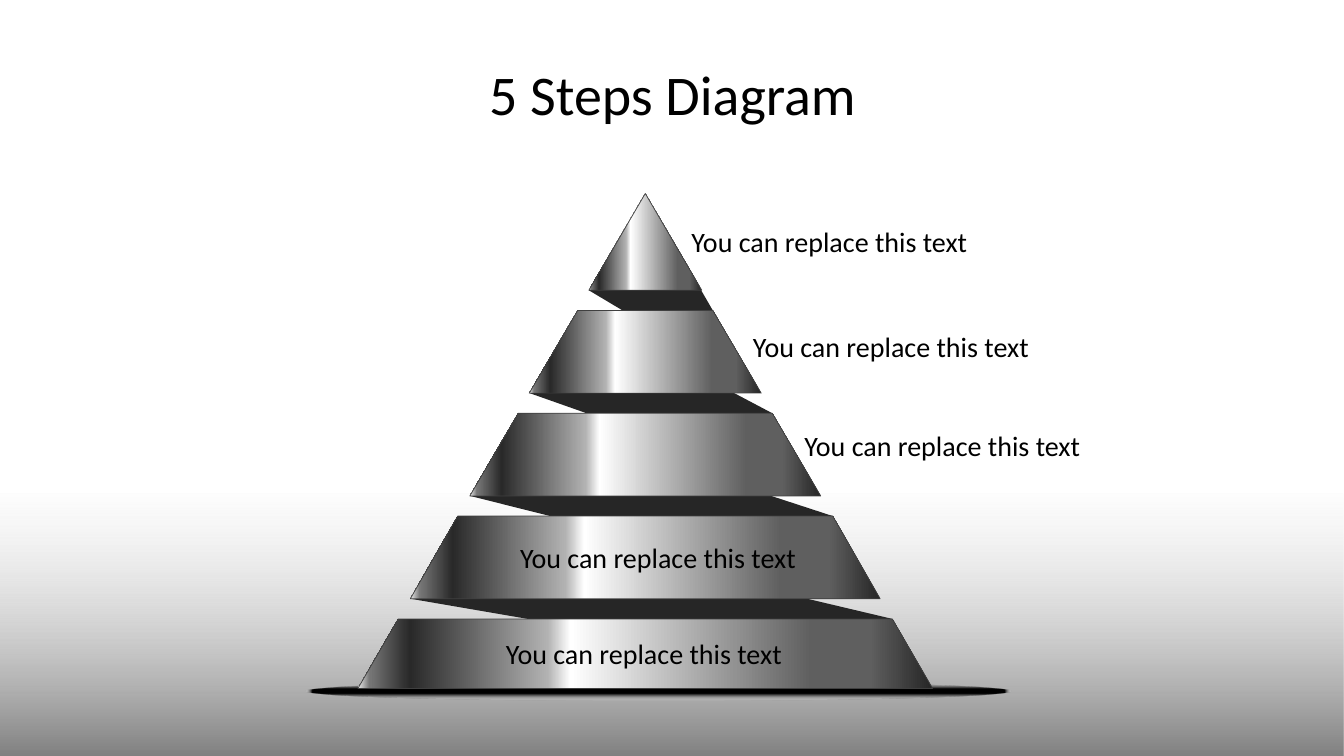
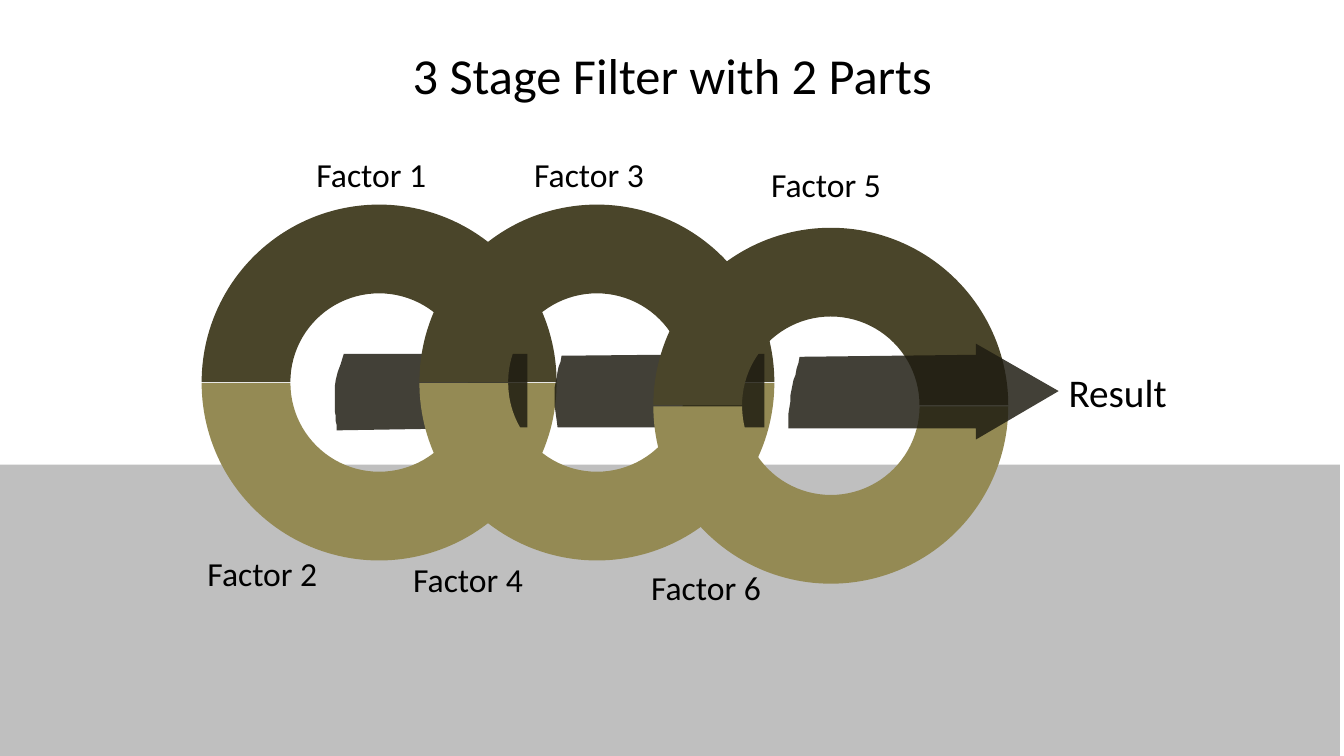
from itertools import pairwise

from lxml.etree import SubElement
from pptx import Presentation
from pptx.dml.color import RGBColor
from pptx.enum.shapes import MSO_SHAPE as Shape
from pptx.enum.text import MSO_ANCHOR as Anchor, MSO_AUTO_SIZE as AutoSize, PP_ALIGN as Align
from pptx.oxml import parse_xml
from pptx.oxml.ns import nsdecls, qn
from pptx.util import Pt

PX = 9144  # EMU per px, 100 px to the inch
FONT = "Calibri"
BLACK, WHITE = "000000", "FFFFFF"
SHADE, EDGE, FLOOR = "262626", "404040", "BFBFBF"
DARK_OLIVE, OLIVE, ARROW = "4A452A", "948A54", "1E1C11"

# Gradients: stops of position, colour and opacity, then direction
DOWNWARD = '<a:lin ang="5400000" scaled="0"/>'
LEFTWARD = '<a:lin ang="10800000" scaled="0"/>'
OUTWARD = '<a:path path="shape"><a:fillToRect l="50000" t="50000" r="50000" b="50000"/></a:path>'
FADE = [(0, "D9D9D9", 4), (46, FLOOR, 60), (100, "808080", 100)]
GLOW = [(24, BLACK, 100), (100, WHITE, 0)]
STEEL = [(0, SHADE, 100), (11, "5F5F5F", 100), (21, "5F5F5F", 100), (63, WHITE, 100),
         (67, "B2B2B2", 100), (91, "292929", 100), (98, "777777", 100), (100, "EAEAEA", 100)]


def paint(shape, stops, direction=None, edge=None):
    """Fill with one colour, or with a gradient when a direction is given."""
    shape.shadow.inherit = False
    if edge:
        shape.line.color.rgb = RGBColor.from_string(edge)
        shape.line.width = Pt(0.5)
    else:
        shape.line.fill.background()
    colours = [f'<a:srgbClr val="{colour}"><a:alpha val="{alpha * 1000}"/></a:srgbClr>'
               for _, colour, alpha in stops]
    if direction:
        marks = "".join(f'<a:gs pos="{stop[0] * 1000}">{colour}</a:gs>'
                        for stop, colour in zip(stops, colours))
        xml = (f'<a:gradFill {nsdecls("a")} rotWithShape="1">'
               f'<a:gsLst>{marks}</a:gsLst>{direction}</a:gradFill>')
    else:
        xml = f'<a:solidFill {nsdecls("a")}>{colours[0]}</a:solidFill>'
    shape.fill.background()
    properties = shape.element.spPr
    properties.replace(properties.find(qn("a:noFill")), parse_xml(xml))


def polygon(slide, points):
    points = [(round(x), round(y)) for x, y in points]
    builder = slide.shapes.build_freeform(*points[0], scale=PX)
    builder.add_line_segments(points[1:], close=True)
    return builder.convert_to_shape()


prs = Presentation()
prs.slide_width, prs.slide_height = 1333 * PX, 750 * PX
pyramid, chain = [prs.slides.add_slide(prs.slide_layouts[6]) for _ in range(2)]

# Pyramid: floor and ground shadow
floor = pyramid.shapes.add_shape(Shape.RECTANGLE, 0, 490 * PX, 1333 * PX, 260 * PX)
paint(floor, FADE, DOWNWARD)
ground = pyramid.shapes.add_shape(Shape.OVAL, 303 * PX, 676 * PX, 700 * PX, 19 * PX)
paint(ground, GLOW, OUTWARD)

# Pyramid: steps cut from one triangle, with dark folds between neighbours
CENTRE, APEX, SLOPE = 640, 192, 0.58
steps = []
for top, bottom in [(192, 288), (308, 390), (410, 492), (512, 594), (614, 683)]:
    upper, lower = (top - APEX) * SLOPE, (bottom - APEX) * SLOPE
    steps.append([(CENTRE - upper, top), (CENTRE + upper, top),
                  (CENTRE + lower, bottom), (CENTRE - lower, bottom)])
for above, below in reversed(list(pairwise(steps))):
    paint(polygon(pyramid, [above[0], below[1], below[2], above[3]]), [(0, SHADE, 100)])
for step in steps:
    paint(polygon(pyramid, step), STEEL, LEFTWARD, EDGE)

# Chain: floor
floor = chain.shapes.add_shape(Shape.RECTANGLE, 0, 461 * PX, 1329 * PX, 289 * PX)
paint(floor, [(0, FLOOR, 100)])

# Chain: each ring is followed by its arrow: straight outline, then the tail curve
RING = 352
stages = [
    (200, 203, [(341, 351), (523, 351), (523, 424)],
     [(334, 427), (333, 409), (326, 391), (341, 351)]),
    (416, 203, [(557, 353), (758, 351), (758, 424)],
     [(553, 424), (547, 390), (551, 377), (557, 353)]),
    (648, 226, [(793, 354), (968, 352), (968, 341), (1050, 388), (968, 436), (968, 425)],
     [(782, 425), (782, 392), (787, 381), (793, 354)]),
]
for left, top, outline, tail in stages:
    ring = chain.shapes.add_group_shape()
    for drop, turn, colour in [(0, 0, DARK_OLIVE), (1, 180, OLIVE)]:
        half = ring.shapes.add_shape(Shape.BLOCK_ARC, left * PX, (top + drop) * PX,
                                     RING * PX, RING * PX)
        half.rotation = turn
        paint(half, [(0, colour, 100)])
    curve = []
    for t in [n / 12 for n in range(12)]:
        weights = [(1 - t) ** 3, 3 * t * (1 - t) ** 2, 3 * t ** 2 * (1 - t), t ** 3]
        curve.append([sum(w * p[axis] for w, p in zip(weights, tail)) for axis in (0, 1)])
    paint(polygon(chain, outline + curve), [(0, ARROW, 84)])

# Titles
for slide, text, left, width, height, size in [
    (pyramid, "5 Steps Diagram", 67, 1200, 125, 40),
    (chain, "3 Stage Filter with 2 Parts", 217, 900, 87, 36),
]:
    title = slide.shapes.add_textbox(left * PX, 30 * PX, width * PX, height * PX).text_frame
    title.word_wrap = True
    title.vertical_anchor = Anchor.MIDDLE
    title.text = text
    title.paragraphs[0].alignment = Align.CENTER
    font = title.paragraphs[0].runs[0].font
    font.name, font.size = FONT, Pt(size)
    font.color.rgb = RGBColor.from_string(BLACK)

# Labels
STEP_TEXT = "You can replace this text"
labels = [(pyramid, STEP_TEXT, left, top, 297, 44, 20) for left, top in
          [(492, 627), (506, 531), (788, 420), (737, 322), (676, 218)]]
factors = [(304, 148), (196, 544), (520, 148), (400, 550), (755, 158), (636, 558)]
labels += [(chain, f"Factor {number}", left, top, 130, 50, 24)
           for number, (left, top) in enumerate(factors, 1)]
labels.append((chain, "Result", 1050, 360, 119, 57, 28))
for slide, text, left, top, width, height, size in labels:
    label = slide.shapes.add_textbox(left * PX, top * PX, width * PX, height * PX).text_frame
    label.word_wrap = False
    label.auto_size = AutoSize.SHAPE_TO_FIT_TEXT
    label.text = text
    font = label.paragraphs[0].runs[0].font
    font.name, font.size = FONT, Pt(size)
    font.color.rgb = RGBColor.from_string(BLACK)

prs.save("out.pptx")
